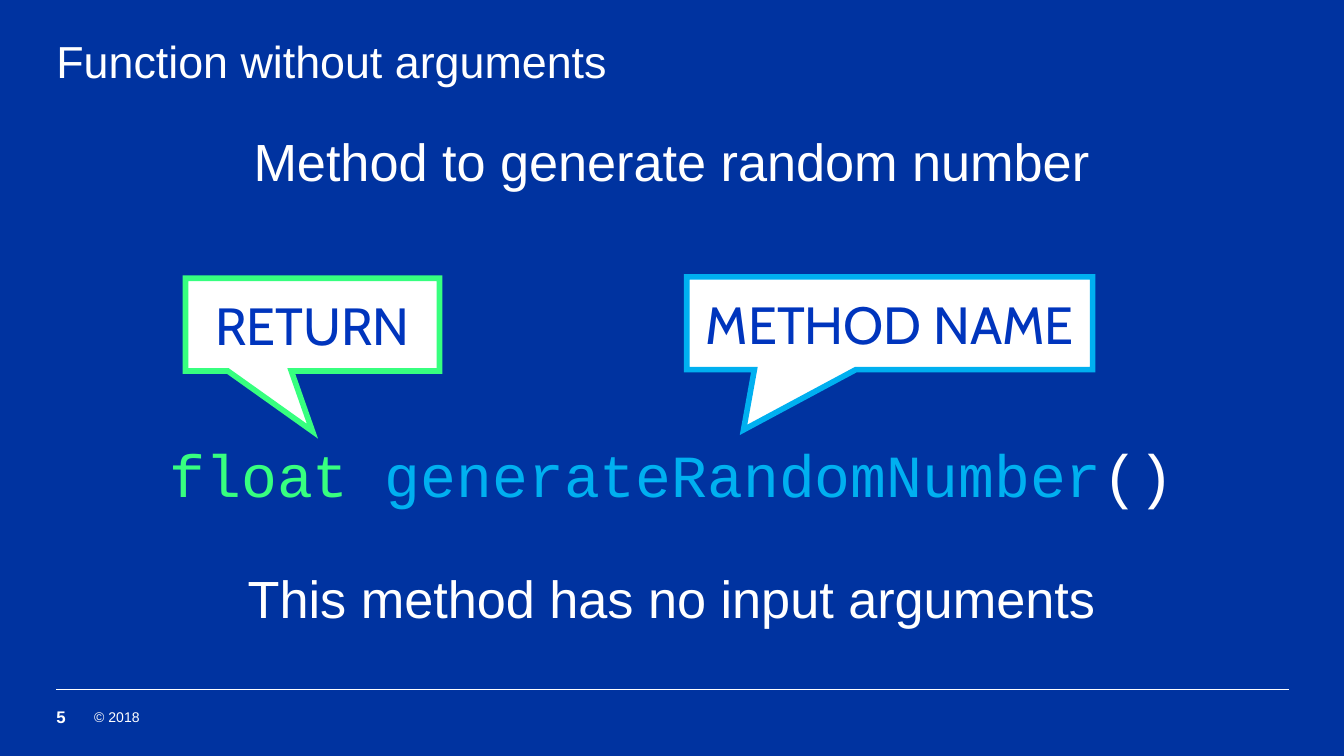
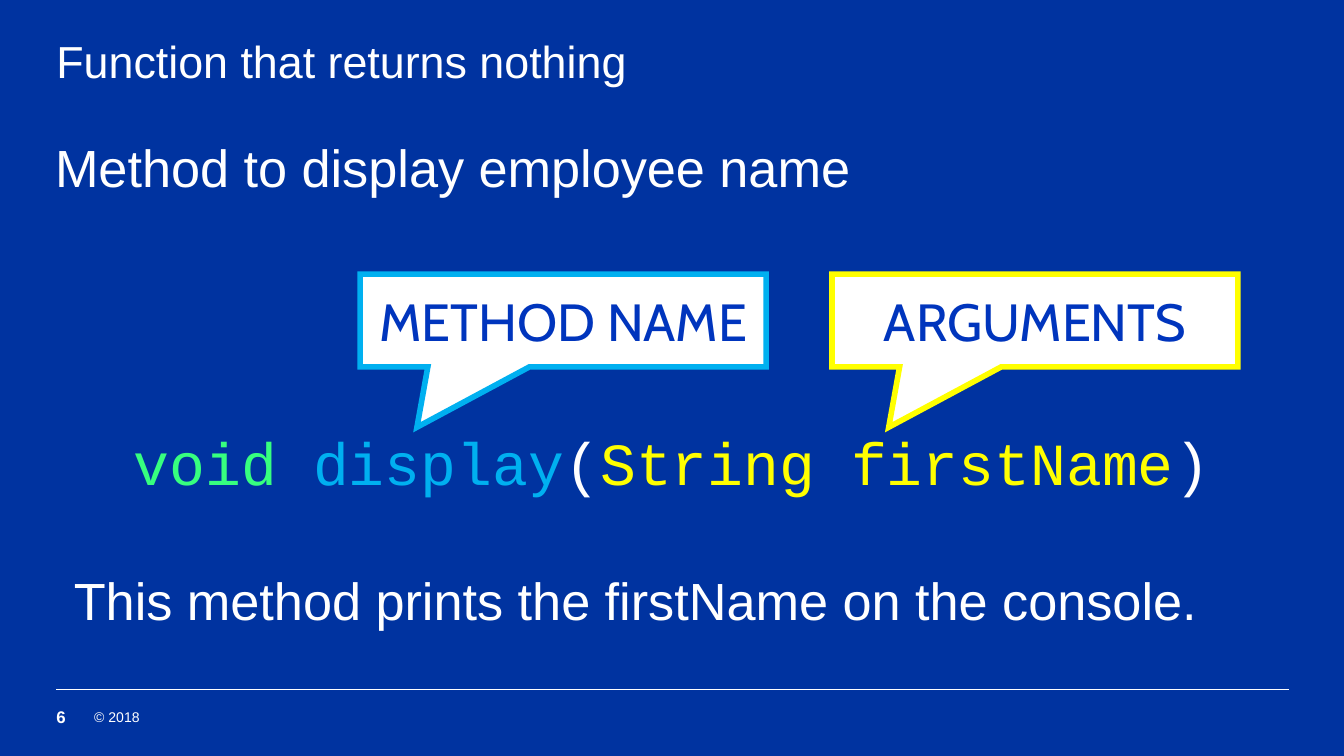
from dataclasses import dataclass

from lxml import etree
from pptx import Presentation
from pptx.dml.color import RGBColor
from pptx.enum.shapes import MSO_CONNECTOR, MSO_SHAPE
from pptx.enum.text import MSO_ANCHOR, PP_ALIGN
from pptx.oxml.ns import qn
from pptx.slide import Slide
from pptx.text.text import _Paragraph
from pptx.util import Inches, Pt

NAVY = RGBColor(0x00, 0x33, 0xA0)
LABEL_BLUE = RGBColor(0x00, 0x35, 0xBD)
WHITE = RGBColor(0xFF, 0xFF, 0xFF)
GREEN = RGBColor(0x37, 0xFF, 0x7F)
CYAN = RGBColor(0x00, 0xB0, 0xF0)
YELLOW = RGBColor(0xFF, 0xFF, 0x00)

SANS, LABEL_FONT, MONO = "Arial", "Cabin", "Courier New"
LEFT, CENTER = PP_ALIGN.LEFT, PP_ALIGN.CENTER
TOP, MIDDLE = MSO_ANCHOR.TOP, MSO_ANCHOR.MIDDLE
CALLOUT = MSO_SHAPE.RECTANGULAR_CALLOUT
STRAIGHT = MSO_CONNECTOR.STRAIGHT

MARGIN = 0.42
BODY_LEFT = 0.41
CONTENT_WIDTH = 9.17
RULE_Y = 5.13
FOOTER_Y, FOOTER_HEIGHT = 5.25, 0.17
CALLOUT_HEIGHT = 0.69
TIP_DROP = 1.15


@dataclass(frozen=True)
class Part:
    """A piece of the method signature in one colour."""
    text: str
    color: RGBColor


@dataclass(frozen=True)
class Callout:
    label: str
    color: RGBColor
    left: float
    top: float
    width: float = 3.02
    tip_shift: float = -0.36


@dataclass(frozen=True)
class Sentence:
    text: str
    top: float
    left: float = BODY_LEFT
    align: PP_ALIGN = LEFT


@dataclass(frozen=True)
class MethodSlide:
    number: int
    title: str
    intro: Sentence
    callouts: tuple[Callout, ...]
    signature_top: float
    signature: tuple[Part, ...]
    summary: Sentence


METHOD_SLIDES = (
    MethodSlide(
        5, "Function without arguments",
        Sentence("Method to generate random number", 0.96, align=CENTER),
        (Callout("RETURN", GREEN, 1.38, 2.07, 1.89, 0),
         Callout("METHOD NAME", CYAN, 5.11, 2.06)),
        3.26,
        (Part("float ", GREEN), Part("generateRandomNumber", CYAN), Part("()", WHITE)),
        Sentence("This method has no input arguments", 4.21, align=CENTER),
    ),
    MethodSlide(
        6, "Function that returns nothing",
        Sentence("Method to display employee name", 1.01),
        (Callout("METHOD NAME", CYAN, 2.68, 2.04),
         Callout("ARGUMENTS", YELLOW, 6.19, 2.04)),
        3.17,
        (Part("void ", GREEN), Part("display", CYAN), Part("(", WHITE),
         Part("String firstName", YELLOW), Part(")", WHITE)),
        Sentence("This method prints the firstName on the console.", 4.23, left=0.55),
    ),
)


def add_run(p: _Paragraph, text: str, size: float, color: RGBColor = WHITE,
            font: str = SANS, bold: bool = False) -> None:
    r = p.add_run()
    r.text = text
    r.font.size = Pt(size)
    r.font.name = font
    r.font.bold = bold
    r.font.color.rgb = color


def add_text_box(s: Slide, left: float, top: float, width: float, height: float,
                 align: PP_ALIGN = LEFT, anchor: MSO_ANCHOR = TOP) -> _Paragraph:
    """Add a box without insets and return its first paragraph."""
    box = s.shapes.add_textbox(Inches(left), Inches(top), Inches(width), Inches(height))
    tf = box.text_frame
    tf.word_wrap = True
    tf.margin_left = tf.margin_top = tf.margin_right = tf.margin_bottom = 0
    tf.vertical_anchor = anchor
    p = tf.paragraphs[0]
    p.alignment = align
    return p


def add_title(s: Slide, title: str) -> None:
    p = add_text_box(s, MARGIN, 0.3, CONTENT_WIDTH, 0.87)
    p.line_spacing = 0.9
    add_run(p, title, 24)


def add_footer(s: Slide, number: int) -> None:
    rule = s.shapes.add_connector(STRAIGHT, Inches(MARGIN), Inches(RULE_Y),
                                  Inches(MARGIN + CONTENT_WIDTH), Inches(RULE_Y))
    rule.line.color.rgb = WHITE
    rule.line.width = Pt(0.5)
    etree.SubElement(rule._element.spPr, qn("a:effectLst"))
    p = add_text_box(s, 0.7, FOOTER_Y, 5, FOOTER_HEIGHT, anchor=MIDDLE)
    add_run(p, "© 2018", 7.5)
    p = add_text_box(s, MARGIN, FOOTER_Y, 0.25, FOOTER_HEIGHT, anchor=MIDDLE)
    add_run(p, str(number), 9, bold=True)


def add_sentence(s: Slide, sentence: Sentence) -> None:
    p = add_text_box(s, sentence.left, sentence.top, CONTENT_WIDTH, 0.79, sentence.align)
    p.space_before = Pt(6)
    add_run(p, sentence.text, 28)


def add_signature(s: Slide, top: float, parts: tuple[Part, ...]) -> None:
    p = add_text_box(s, BODY_LEFT, top, CONTENT_WIDTH + 0.01, 0.7, CENTER)
    p.space_before = Pt(6)
    p.space_after = Pt(12)
    for part in parts:
        add_run(p, part.text, 32, part.color, MONO)


def add_callout(s: Slide, callout: Callout) -> None:
    """Draw a white callout with a coloured, sharp-cornered outline."""
    sp = s.shapes.add_shape(CALLOUT, Inches(callout.left), Inches(callout.top),
                            Inches(callout.width), Inches(CALLOUT_HEIGHT))
    sp.shadow.inherit = False
    sp.adjustments[0] = callout.tip_shift
    sp.adjustments[1] = TIP_DROP
    sp.fill.solid()
    sp.fill.fore_color.rgb = WHITE
    sp.line.color.rgb = callout.color
    sp.line.width = Pt(3)
    outline = sp._element.spPr.find(qn("a:ln"))
    etree.SubElement(outline, qn("a:miter"), lim="800000")
    tf = sp.text_frame
    tf.word_wrap = True
    tf.vertical_anchor = MIDDLE
    p = tf.paragraphs[0]
    p.alignment = CENTER
    add_run(p, callout.label, 28, LABEL_BLUE, LABEL_FONT)


def add_method_slide(prs: Presentation, content: MethodSlide) -> None:
    s = prs.slides.add_slide(prs.slide_layouts[6])
    s.background.fill.solid()
    s.background.fill.fore_color.rgb = NAVY
    add_title(s, content.title)
    add_footer(s, content.number)
    add_signature(s, content.signature_top, content.signature)
    for callout in content.callouts:
        add_callout(s, callout)
    add_sentence(s, content.intro)
    add_sentence(s, content.summary)


def main() -> None:
    prs = Presentation()
    prs.slide_width = Inches(10)
    prs.slide_height = Inches(10 * 9 / 16)
    for content in METHOD_SLIDES:
        add_method_slide(prs, content)
    prs.save("out.pptx")


if __name__ == "__main__":
    main()
